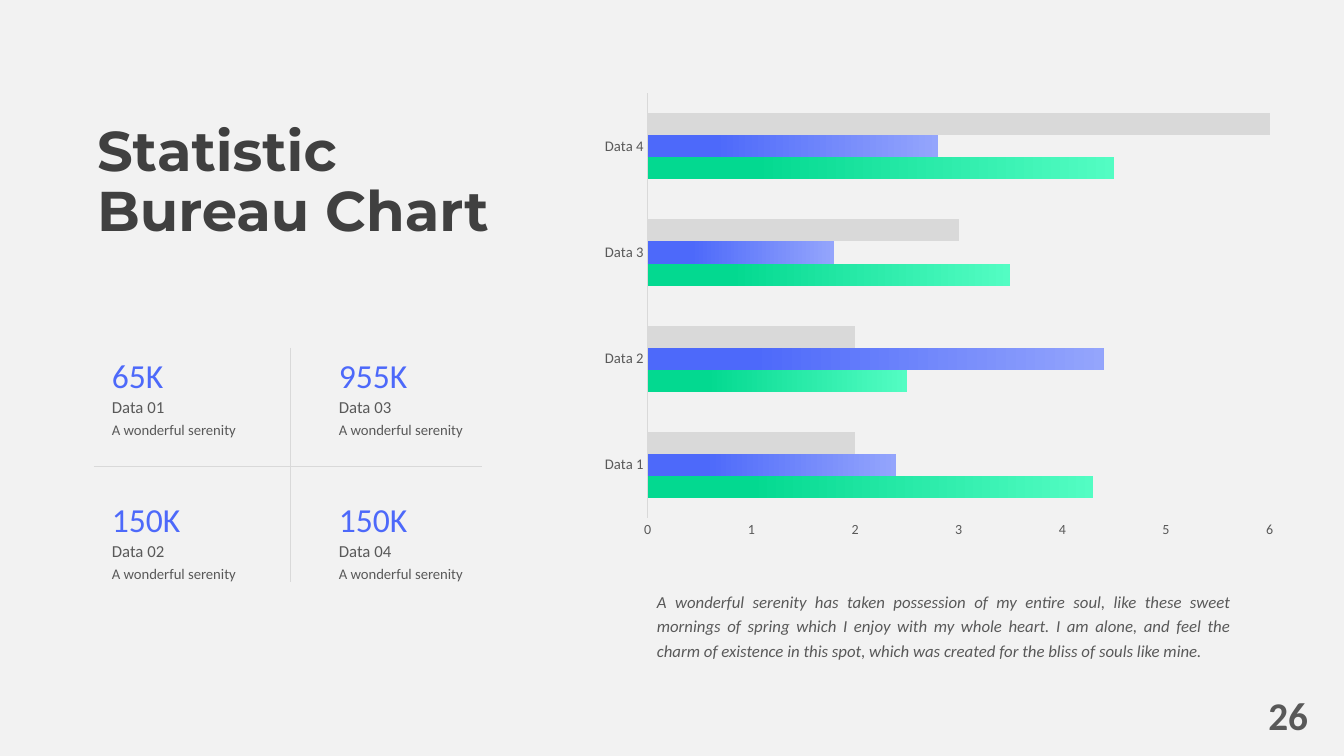
from lxml import etree
from pptx import Presentation
from pptx import util as u
from pptx.chart.data import CategoryChartData
from pptx.dml.color import RGBColor
from pptx.enum import chart as ch, shapes, text
from pptx.oxml.ns import qn

SCALE = 914400 / 100.8  # EMU in one px

PALE = RGBColor(0xF2, 0xF2, 0xF2)
RULE = RGBColor(0xD9, 0xD9, 0xD9)
GREY = RGBColor(0x59, 0x59, 0x59)
DARK = RGBColor(0x40, 0x40, 0x40)
BLUE = RGBColor(0x4D, 0x69, 0xFA)
SKY = RGBColor(0x94, 0xA5, 0xFC)
GREEN = RGBColor(0x03, 0xD9, 0x90)
MINT = RGBColor(0x53, 0xFD, 0xC3)

TITLE = ["Statistic", "Bureau Chart"]
QUOTE = ("A wonderful serenity has taken possession of my entire soul, like "
         "these sweet mornings of spring which I enjoy with my whole heart. "
         "I am alone, and feel the charm of existence in this spot, which "
         "was created for the bliss of souls like mine.")
STATS = [[("65K", "Data 01"), ("955K", "Data 03")],
         [("150K", "Data 02"), ("150K", "Data 04")]]
CATS = ["Data 1", "Data 2", "Data 3", "Data 4"]
SERIES = [("Series 1", (4.3, 2.5, 3.5, 4.5), (GREEN, MINT)),
          ("Series 2", (2.4, 4.4, 1.8, 2.8), (BLUE, SKY)),
          ("Series 3", (2, 2, 3, 6), (RULE,))]


def px(*vals):
    return [u.Emu(round(v * SCALE)) for v in vals]


def apply(item, **vals):
    for key, val in vals.items():
        setattr(item, key, val)


def style(font, size, color=GREY, name="Calibri", **more):
    apply(font, size=u.Pt(size), name=name, **more)
    font.color.rgb = color


def label(slide, box, words, size, color=GREY, para=None, frame=None, **font):
    """Text box with one paragraph."""
    body = slide.shapes.add_textbox(*px(*box)).text_frame
    apply(body, word_wrap=True, auto_size=text.MSO_AUTO_SIZE.SHAPE_TO_FIT_TEXT,
          **(frame or {}))
    line = body.paragraphs[0]
    apply(line, **(para or {"line_spacing": 1.2}))
    run = line.add_run()
    run.text = words
    style(run.font, size, color, **font)


def head(slide):
    title = slide.shapes.title
    for key, val in zip(("left", "top", "width", "height"),
                        px(87, 118, 560, 132)):
        setattr(title, key, val)
    body = title.text_frame
    apply(body, word_wrap=True, vertical_anchor=text.MSO_ANCHOR.TOP,
          auto_size=text.MSO_AUTO_SIZE.SHAPE_TO_FIT_TEXT)
    para = body.paragraphs[0]
    apply(para, alignment=text.PP_ALIGN.LEFT, line_spacing=0.9)
    for i, words in enumerate(TITLE):
        if i:
            para.add_line_break()
        run = para.add_run()
        run.text = words
        style(run.font, 40, DARK, "Montserrat", bold=True)


def stat(slide, left, top, value, name):
    """Figure with its name and a short note below."""
    label(slide, (left, top, 139, 55), value, 24, BLUE,
          frame={"vertical_anchor": text.MSO_ANCHOR.MIDDLE})
    label(slide, (left, top + 68, 151, 30), "A wonderful serenity", 10.5)
    label(slide, (left, top + 44, 139, 33), name, 12)


def rule(slide, *ends):
    line = slide.shapes.add_connector(shapes.MSO_CONNECTOR.STRAIGHT, *px(*ends))
    line.line.color.rgb = RULE
    line.line.width = u.Pt(0.5)
    etree.SubElement(line.element.spPr, qn("a:effectLst"))


def paint(fill, tones):
    """Solid fill for one tone, left-to-right gradient for two."""
    if len(tones) == 1:
        fill.solid()
        fill.fore_color.rgb = tones[0]
        return
    fill.gradient()
    fill.gradient_angle = 0
    for stop, spot, tone in zip(fill.gradient_stops, (0.23, 1), tones):
        stop.position = spot
        stop.color.rgb = tone


def bars(slide):
    data = CategoryChartData()
    data.categories = CATS
    for name, vals, _ in SERIES:
        data.add_series(name, vals)
    chart = slide.shapes.add_chart(ch.XL_CHART_TYPE.BAR_CLUSTERED,
                                   *px(591, 84, 696, 463), data).chart
    apply(chart, has_legend=False, has_title=False)
    style(chart.font, 10)
    plot = chart.plots[0]
    apply(plot, gap_width=182, vary_by_categories=False)
    for series, (_, _, tones) in zip(plot.series, SERIES):
        paint(series.format.fill, tones)

    # Axes
    cat, val = chart.category_axis, chart.value_axis
    for axis, size in ((cat, 10.5), (val, 10)):
        apply(axis, major_tick_mark=ch.XL_TICK_MARK.NONE,
              minor_tick_mark=ch.XL_TICK_MARK.NONE)
        style(axis.tick_labels.font, size)
    apply(val, minimum_scale=0, maximum_scale=6, major_unit=1,
          has_major_gridlines=True)
    val.format.line.fill.background()
    for part, tone in ((cat, RULE), (val.major_gridlines, PALE)):
        part.format.line.color.rgb = tone
        part.format.line.width = u.Pt(0.75)


def main():
    deck = Presentation()
    deck.slide_width, deck.slide_height = px(1344, 756)
    slide = deck.slides.add_slide(deck.slide_layouts[5])
    slide.background.fill.solid()
    slide.background.fill.fore_color.rgb = PALE

    # Page number and title
    label(slide, (1157, 686, 161, 57), "26", 28, bold=True,
          para={"alignment": text.PP_ALIGN.RIGHT})
    head(slide)

    # Chart and quote
    bars(slide)
    label(slide, (647, 583, 594, 82), QUOTE, 12, italic=True,
          para={"alignment": text.PP_ALIGN.JUSTIFY, "line_spacing": 1.2,
                "space_after": u.Pt(6)})

    # Grid of figures
    for i, row in enumerate(STATS):
        for j, (value, name) in enumerate(row):
            stat(slide, 102 + 227 * j, 344 + 144 * i, value, name)
    rule(slide, 290, 348, 290, 582)
    rule(slide, 94, 466, 482, 466)

    deck.save("out.pptx")


if __name__ == "__main__":
    main()
